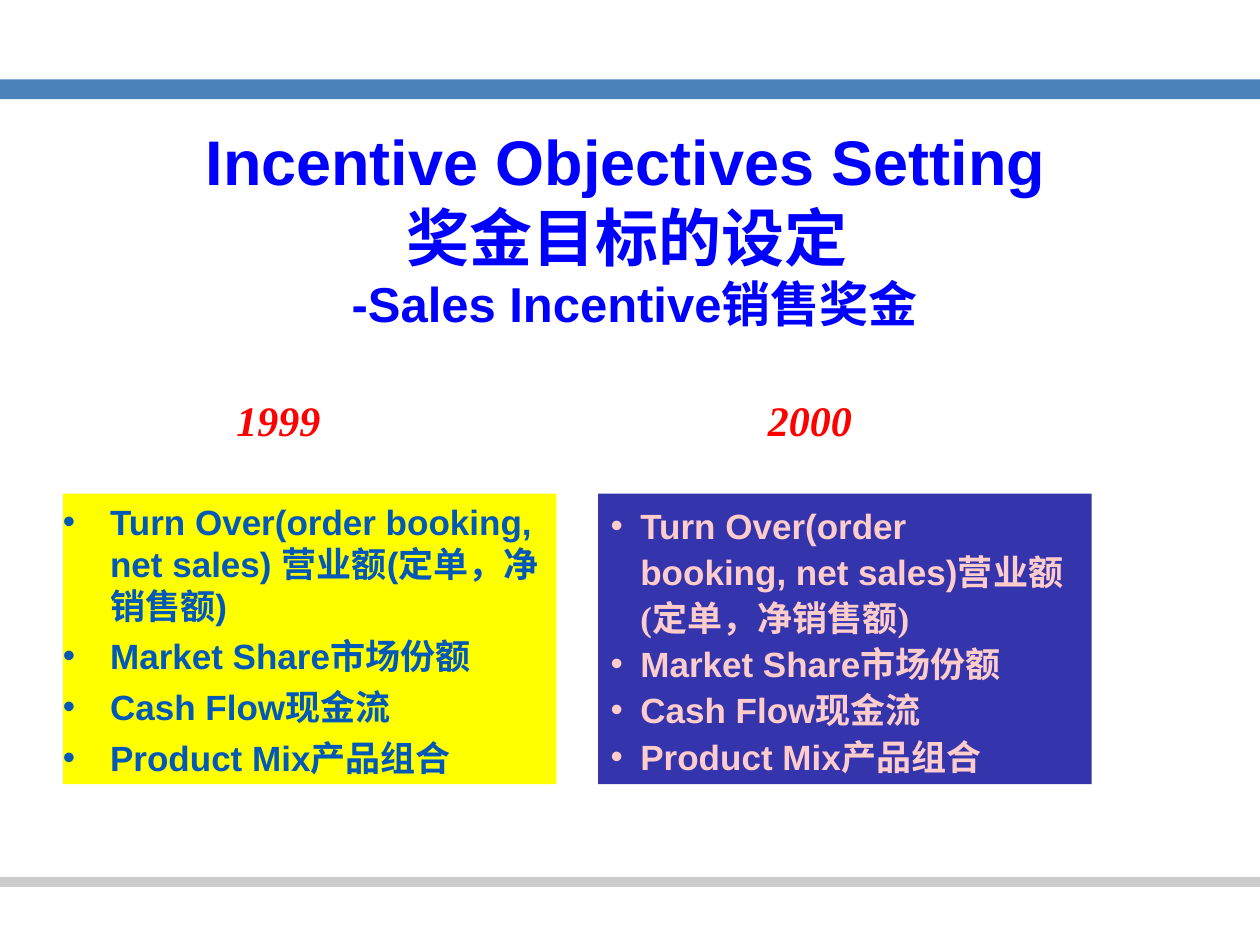
import pptx
import pptx.dml.color
import pptx.enum.shapes
import pptx.enum.text
import pptx.oxml
import pptx.oxml.ns
import pptx.util

Cm, Pt = pptx.util.Cm, pptx.util.Pt
ALIGN = pptx.enum.text.PP_ALIGN
ANCHOR = pptx.enum.text.MSO_ANCHOR

COLORS = {
    "top bar": "4C82BA", "bottom bar": "CCCCCC",
    "title": "0000FF", "year": "FF0000",
    "yellow": "FFFF00", "blue text": "0059B8",
    "navy": "3434AC", "pink text": "FFCCCC",
}
SANS, SERIF = "Arial", "Times New Roman"

GOALS_1999 = [
    [("Turn Over(order booking, net sales) 营业额(定单，净销售额)", SANS)],
    [("Market Share市场份额", SANS)],
    [("Cash Flow现金流", SANS)],
    [("Product Mix产品组合", SANS)],
]
GOALS_2000 = [
    [("Turn Over(order\vbooking, net sales)", SANS), ("营业额(定单，净销售额)", SERIF)],
    [("Market Share", SANS), ("市场份额", SERIF)],
    [("Cash Flow", SANS), ("现金流", SERIF)],
    [("Product Mix产品组合", SANS)],
]


def rgb(name):
    return pptx.dml.color.RGBColor.from_string(COLORS[name])


def style(span, font, size, color, italic=False):
    span.font.name = font
    span.font.size = Pt(size)
    span.font.bold = True
    span.font.italic = italic
    span.font.color.rgb = rgb(color)


def add_rectangle(page, box, color):
    shape = page.shapes.add_shape(
        pptx.enum.shapes.MSO_SHAPE.RECTANGLE, *map(Cm, box))
    shape.shadow.inherit = False
    shape.fill.solid()
    shape.fill.fore_color.rgb = rgb(color)
    shape.line.fill.background()
    return shape


def prepare_frame(shape, left_inset, anchor=ANCHOR.TOP):
    frame = shape.text_frame
    frame.word_wrap = True
    frame.vertical_anchor = anchor
    frame.margin_left, frame.margin_right = Cm(left_inset), Cm(0.25)
    frame.margin_top = frame.margin_bottom = Cm(0.13)
    return frame


def add_bullet(para, indent, color):
    properties = para._p.get_or_add_pPr()
    properties.set("marL", str(Cm(indent)))
    properties.set("indent", str(-Cm(indent)))
    namespace = pptx.oxml.ns.nsdecls("a")
    for xml in (
        f'<a:buClr {namespace}><a:srgbClr val="{COLORS[color]}"/></a:buClr>',
        f'<a:buFont {namespace} typeface="{SANS}"/>',
        f'<a:buChar {namespace} char="•"/>',
    ):
        properties.append(pptx.oxml.parse_xml(xml))


def add_title(page, box):
    shape = page.shapes.add_textbox(*map(Cm, box))
    frame = prepare_frame(shape, 0, ANCHOR.MIDDLE)
    para = frame.paragraphs[0]
    para.text = ("Incentive Objectives Setting \v奖金目标的设定 \v"
                 "-Sales Incentive销售奖金")
    para.alignment = ALIGN.CENTER
    for span, size in zip(para.runs, (36, 36, 28)):
        style(span, SANS, size, "title")


def add_year(page, box, year):
    shape = page.shapes.add_textbox(*map(Cm, box))
    para = prepare_frame(shape, 0.25).paragraphs[0]
    para.text = year
    para.alignment = ALIGN.CENTER
    style(para.runs[0], SERIF, 24, "year", italic=True)


def add_goals(page, box, goals, fill, color, inset, indent, before=0, spacing=1.0):
    """Draw a filled panel with one bullet for each goal."""
    frame = prepare_frame(add_rectangle(page, box, fill), inset)
    for number, parts in enumerate(goals):
        para = frame.add_paragraph() if number else frame.paragraphs[0]
        para.text = parts[0][0]
        fonts = [parts[0][1]] * len(para.runs)
        for text, font in parts[1:]:
            para.add_run().text = text
            fonts.append(font)
        para.alignment = ALIGN.LEFT
        para.line_spacing = spacing
        para.space_before = Pt(before if number else 0)
        add_bullet(para, indent, color)
        for span, font in zip(para.runs, fonts):
            style(span, font, 20, color)


def main():
    deck = pptx.Presentation()
    deck.slide_width, deck.slide_height = Cm(25.4), Cm(19.05)
    page = deck.slides.add_slide(deck.slide_layouts[6])

    add_rectangle(page, (0, 1.6, 25.4, 0.4), "top bar")
    add_rectangle(page, (0, 17.68, 25.4, 0.2), "bottom bar")
    add_title(page, (0.43, 2.34, 24.97, 4.5))
    add_year(page, (2.97, 7.82, 5.28, 1.27), "1999")
    add_year(page, (13.34, 7.82, 5.97, 1.27), "2000")
    add_goals(page, (1.27, 9.95, 9.95, 5.86), GOALS_1999,
              "yellow", "blue text", inset=0, indent=0.95, before=5)
    add_goals(page, (12.06, 9.95, 9.95, 5.86), GOALS_2000,
              "navy", "pink text", inset=0.25, indent=0.6, spacing=1.1)
    deck.save("out.pptx")


if __name__ == "__main__":
    main()
